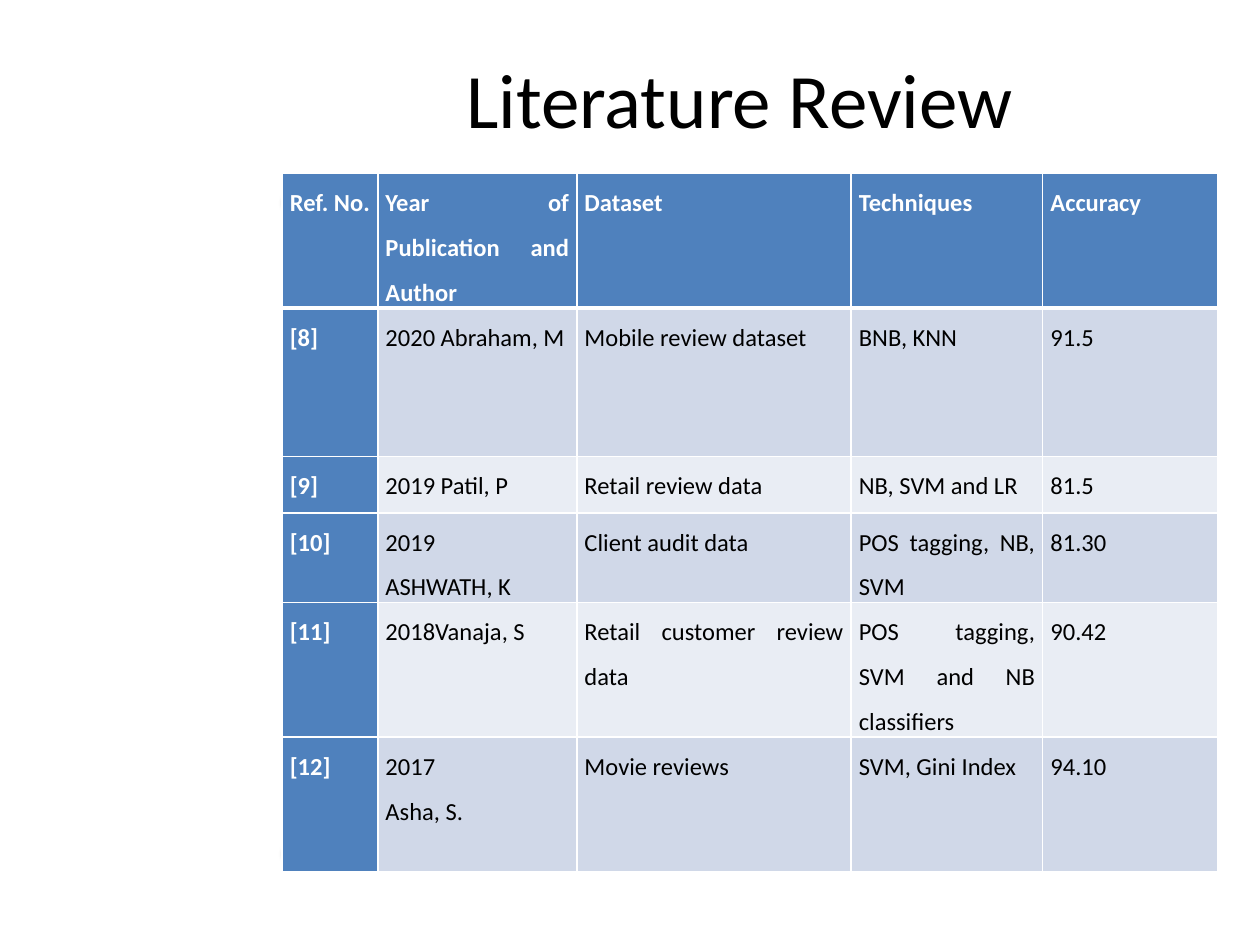
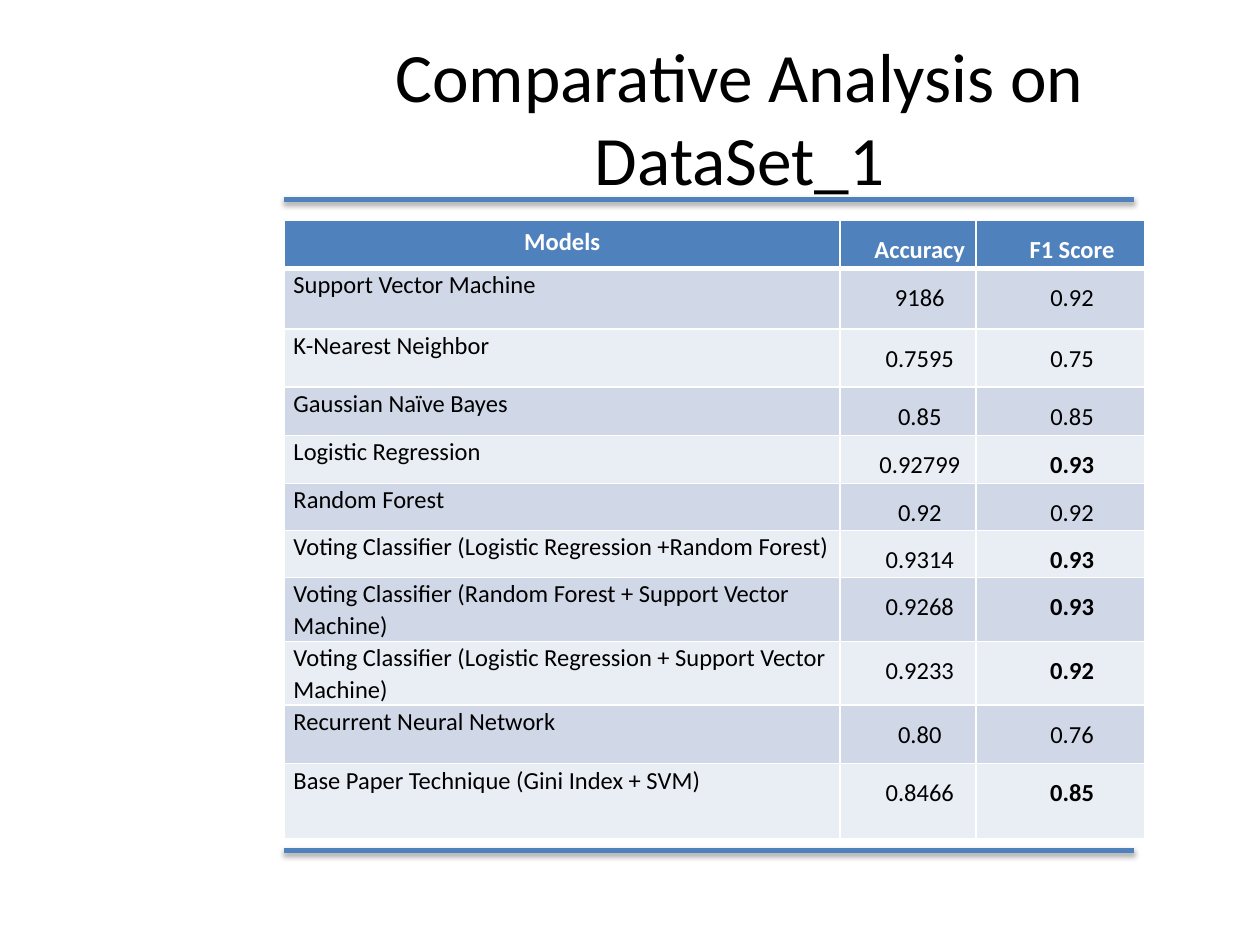
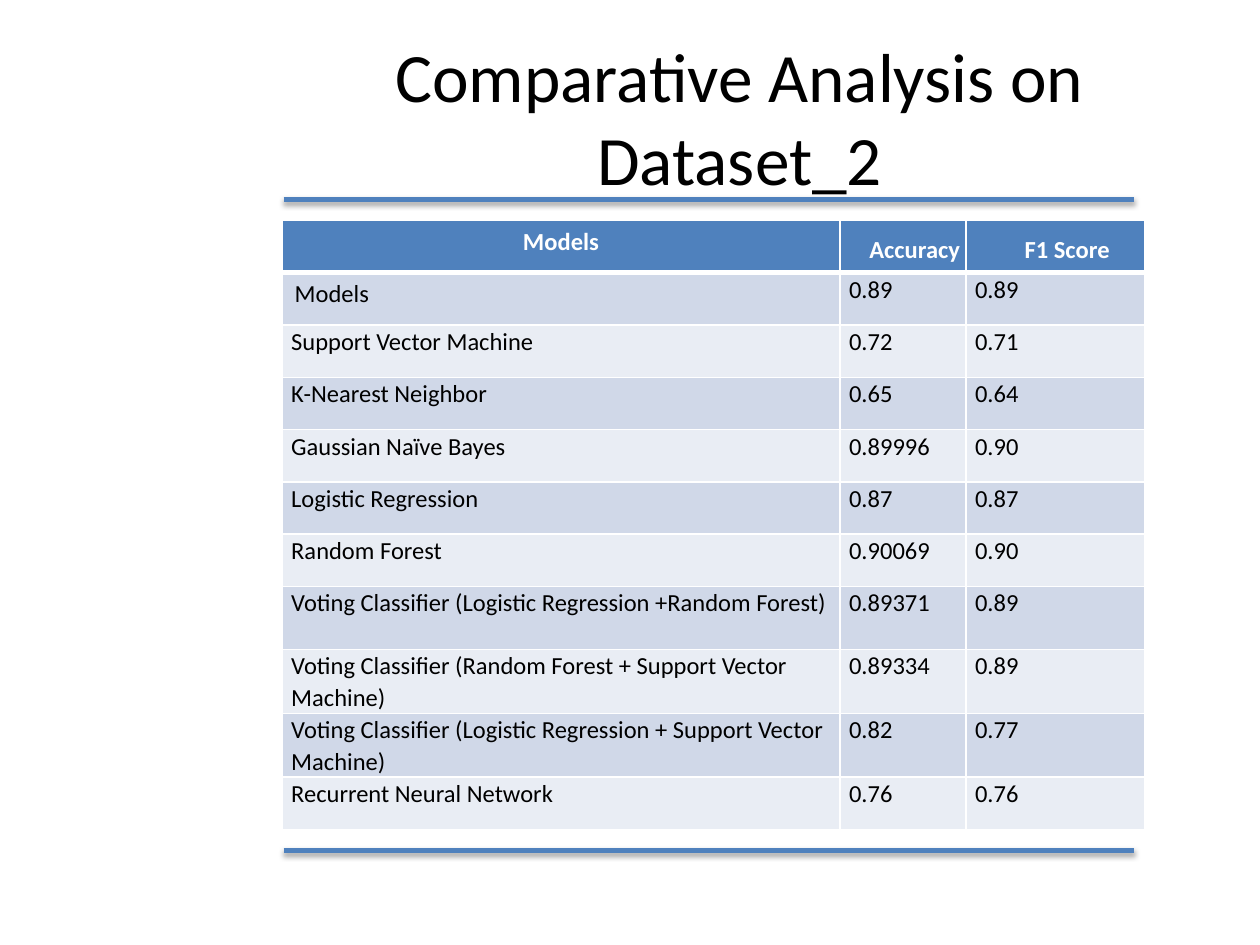
from collections import namedtuple

from lxml import etree
from pptx import Presentation
from pptx.dml.color import RGBColor
from pptx.enum.shapes import MSO_CONNECTOR
from pptx.enum.text import MSO_ANCHOR, MSO_AUTO_SIZE, PP_ALIGN
from pptx.oxml.ns import qn
from pptx.util import Pt

LINE = MSO_CONNECTOR.STRAIGHT
MIDDLE, TOP = MSO_ANCHOR.MIDDLE, MSO_ANCHOR.TOP
NO_FIT = MSO_AUTO_SIZE.NONE
LEFT, CENTER, JUSTIFY = PP_ALIGN.LEFT, PP_ALIGN.CENTER, PP_ALIGN.JUSTIFY

BLUE = RGBColor(0x4F, 0x81, 0xBD)
DARK = RGBColor(0xD0, 0xD8, 0xE8)
LIGHT = RGBColor(0xE9, 0xED, 0xF4)
WHITE = RGBColor(0xFF, 0xFF, 0xFF)
BLACK = RGBColor(0x00, 0x00, 0x00)
FONT = "Calibri"

Look = namedtuple("Look", "side edge align lead after indent")
REVIEW = Look(4.4, 0, JUSTIFY, 1.5, 0, 0)
HEAD = Look(7.2, 3.6, CENTER, 1.0, 0, 0)
PLAIN = Look(7.2, 3.6, LEFT, 1.0, 0, 0)
NAME = Look(5.2, 0, LEFT, 1.07, 8, 0)
SCORE = Look(0, 0, CENTER, 1.5, 0, 13.5)

PAPERS = [
    ("Ref. No.", "Year of Publication and Author", "Dataset", "Techniques", "Accuracy"),
    ("[8]", "2020 Abraham, M", "Mobile review dataset", "BNB, KNN", "91.5"),
    ("[9]", "2019 Patil, P", "Retail review data", "NB, SVM and LR", "81.5"),
    ("[10]", "2019\nASHWATH, K", "Client audit data", "POS tagging, NB, SVM", "81.30"),
    ("[11]", "2018Vanaja, S", "Retail customer review data",
     "POS tagging, SVM and NB classifiers", "90.42"),
    ("[12]", "2017\nAsha, S.", "Movie reviews", "SVM, Gini Index", "94.10"),
]
TITLES = ("Models", "Accuracy", "F1 Score")
MODELS = [
    "Support Vector Machine",
    "K-Nearest Neighbor",
    "Gaussian Naïve Bayes",
    "Logistic Regression",
    "Random Forest",
    "Voting Classifier (Logistic Regression +Random Forest)",
    "Voting Classifier (Random Forest + Support Vector Machine)",
    "Voting Classifier (Logistic Regression + Support Vector Machine)",
    "Recurrent Neural Network",
]
FIRST = [
    ("9186", "0.92"), ("0.7595", "0.75"), ("0.85", "0.85"), ("0.92799", "0.93"),
    ("0.92", "0.92"), ("0.9314", "0.93"), ("0.9268", "0.93"), ("0.9233", "0.92"),
    ("0.80", "0.76"), ("0.8466", "0.85"),
]
SECOND = [
    ("0.89", "0.89"), ("0.72", "0.71"), ("0.65", "0.64"), ("0.89996", "0.90"),
    ("0.87", "0.87"), ("0.90069", "0.90"), ("0.89371", "0.89"), ("0.89334", "0.89"),
    ("0.82", "0.77"), ("0.76", "0.76"),
]
BEST = {4, 6, 7, 8, 10}


def add_run(para, text, size, color, bold=False):
    run = para.add_run()
    run.text = text
    font = run.font
    font.name, font.size, font.bold = FONT, Pt(size), bold
    font.color.rgb = color


def add_page(deck, text, size, height):
    slide = deck.slides.add_slide(deck.slide_layouts[5])
    title = slide.shapes.title
    title.left, title.top = Pt(161.3), Pt(21.6)
    title.width, title.height = Pt(522.7), Pt(height)
    frame = title.text_frame
    frame.word_wrap, frame.auto_size = True, NO_FIT
    frame.vertical_anchor = MIDDLE
    para = frame.paragraphs[0]
    para.alignment = CENTER
    add_run(para, text, size, BLACK)
    return slide


def add_rule(slide, y):
    rule = slide.shapes.add_connector(LINE, Pt(162), Pt(y), Pt(648), Pt(y))
    rule.line.color.rgb = BLUE
    rule.line.width = Pt(3)
    props = rule._element.spPr
    effects = etree.SubElement(props, qn("a:effectLst"))
    shadow = etree.SubElement(effects, qn("a:outerShdw"), blurRad=str(Pt(3.1)),
                              dist=str(Pt(1.8)), dir="5400000", rotWithShape="0")
    tone = etree.SubElement(shadow, qn("a:srgbClr"), val=str(BLACK))
    etree.SubElement(tone, qn("a:alpha"), val="35000")
    slide.slide_layout.shapes._spTree.append(rule._element)


def set_edges(cell, row):
    props = cell._tc.get_or_add_tcPr()
    top, base = (3 if row == 1 else 1), (3 if row == 0 else 1)
    for tag, width in (("lnL", 1), ("lnR", 1), ("lnT", top), ("lnB", base)):
        edge = etree.SubElement(props, qn("a:" + tag), w=str(Pt(width)))
        fill = etree.SubElement(edge, qn("a:solidFill"))
        etree.SubElement(fill, qn("a:srgbClr"), val=str(WHITE))


def fill_cell(cell, text, look, color, bold):
    cell.margin_left = cell.margin_right = Pt(look.side)
    cell.margin_top = cell.margin_bottom = Pt(look.edge)
    cell.vertical_anchor = TOP
    frame = cell.text_frame
    for i, part in enumerate(text.split("\n")):
        para = frame.add_paragraph() if i else frame.paragraphs[0]
        para.alignment = look.align
        para.line_spacing = look.lead
        para.space_after = Pt(look.after)
        para._p.get_or_add_pPr().set("marL", str(Pt(look.indent)))
        add_run(para, part, 14, color, bold)


def add_grid(slide, x, y, cols, rows, data, look_at, strong=(), side=False):
    frame = slide.shapes.add_table(len(rows), len(cols), Pt(x), Pt(y),
                                   Pt(sum(cols)), Pt(sum(rows)))
    table = frame.table
    for col, width in zip(table.columns, cols):
        col.width = Pt(width)
    for row, height in zip(table.rows, rows):
        row.height = Pt(height)
    for r, line in enumerate(data):
        for c, text in enumerate(line):
            cell = table.cell(r, c)
            head = r == 0 or (side and c == 0)
            set_edges(cell, r)
            cell.fill.solid()
            cell.fill.fore_color.rgb = BLUE if head else DARK if r % 2 else LIGHT
            bold = head or (r, c) in strong
            fill_cell(cell, text, look_at(r, c), WHITE if head else BLACK, bold)


def review_look(r, c):
    return REVIEW


def first_look(r, c):
    if c:
        return SCORE
    return NAME if r else HEAD


def second_look(r, c):
    if r == 0:
        return first_look(r, c)
    return PLAIN if (r, c) == (1, 0) else NAME


def add_scores(deck, text, x, cols, rows, names, scores, look_at, strong=()):
    slide = add_page(deck, text, 39.6, 90)
    data = [TITLES] + [(name, *pair) for name, pair in zip(names, scores)]
    add_grid(slide, x, 126, cols, rows, data, look_at, strong)


def main():
    deck = Presentation()
    deck.slide_width, deck.slide_height = Pt(720), Pt(540)

    slide = add_page(deck, "Literature Review", 44, 68.4)
    for y in (114, 486):
        add_rule(slide, y)
    add_grid(slide, 161.2, 99.1, [54.7, 113.7, 156.8, 109.5, 100.2],
             [77, 84.8, 32.3, 50.6, 77, 77], PAPERS, review_look, side=True)

    add_scores(deck, "Comparative Analysis on DataSet_1", 162.5, [317.5, 77.8, 96.2],
               [27.4, 34.7, 33.2, 27.5, 27.5, 26.9, 26.9, 34, 34, 33.4, 42.9],
               MODELS + ["Base Paper Technique (Gini Index + SVM)"], FIRST,
               first_look, {(r, 2) for r in BEST})

    add_scores(deck, "Comparative Analysis on Dataset_2", 161.2, [318.8, 72, 102.2],
               [29.9] * 7 + [36] * 3 + [29.9], ["Models"] + MODELS, SECOND, second_look)

    deck.save("out.pptx")


if __name__ == "__main__":
    main()
